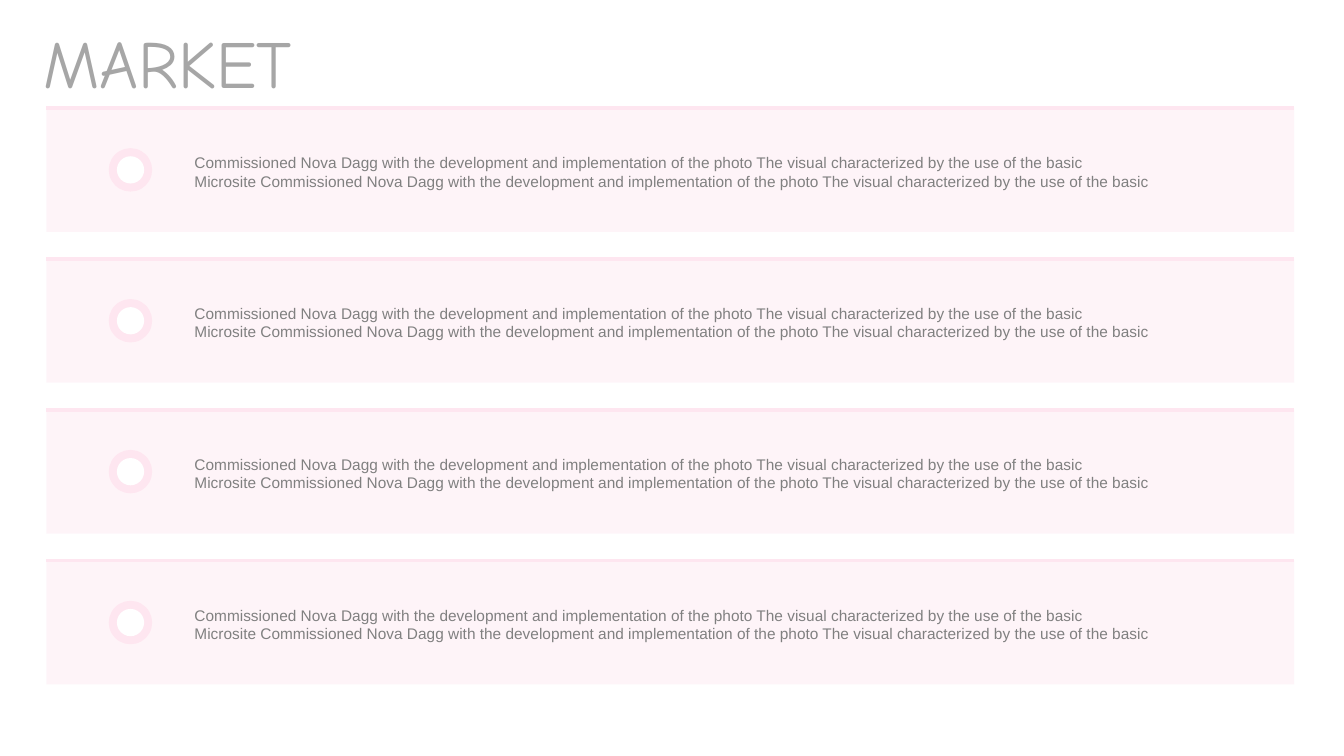
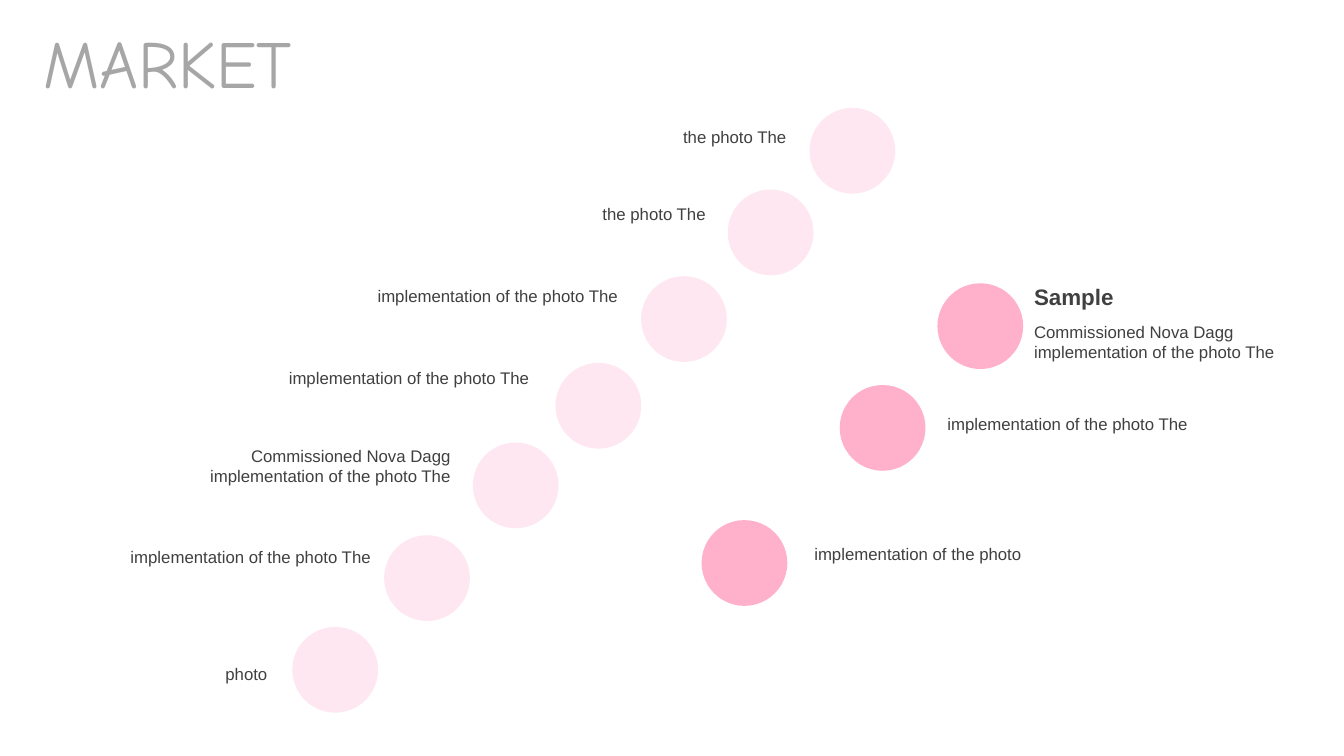
from lxml.etree import SubElement
from pptx import Presentation
from pptx.dml.color import RGBColor
from pptx.enum.shapes import MSO_CONNECTOR, MSO_SHAPE
from pptx.enum.text import MSO_AUTO_SIZE, PP_ALIGN
from pptx.oxml.ns import qn
from pptx.util import Inches, Pt

WIDTH, HEIGHT = Inches(13.333), Inches(7.5)
COLORS = {
    "title": "A6A6A6",
    "body": "808080",
    "label": "404040",
    "band": "FEE6F0",
    "pale": "FEE7F1",
    "strong": "FF6699",
    "white": "FFFFFF",
}
BODY_FONT, TITLE_FONT = "Arial", "Comic Neue"

# All positions and sizes below are percentages of the slide's width or height.
CARD_LEFT, CARD_TOP, CARD_WIDTH, CARD_HEIGHT = 3.45, 14.27, 92.85, 16.4
CARD_COUNT, CARD_PITCH = 4, 19.96
RING_CENTER, RING_SIZE, HOLE_SIZE = 9.71, 3.23, 2.03
CIRCLE_SIZE = 6.38
LABEL_WIDTH, LABEL_ROW = 22.58, 4.13

PHOTO = "implementation of the photo The"
STUDIO = "Commissioned Nova Dagg " + PHOTO
CARD_LINES = [
    f"{opening} Nova Dagg with the development and {PHOTO} "
    "visual characterized by the use of the basic"
    for opening in ("Commissioned", "Microsite Commissioned")
]

# Circle left and top, label right edge and top, label rows, label text
PALE_STEPS = [
    (60.23, 14.27, 59.25, 16.13, 1, "the photo The"),
    (54.15, 25.07, 53.25, 26.27, 1, "the photo The"),
    (47.7, 36.53, 46.73, 37.2, 1, PHOTO),
    (41.33, 48, 40.13, 48, 1, PHOTO),
    (35.18, 58.53, 34.28, 58.27, 2, STUDIO),
    (28.58, 70.8, 28.35, 71.6, 1, PHOTO),
    (21.75, 82.93, 20.63, 87.2, 1, "photo"),
]
# Circle left and top, label left edge and top, label text
STRONG_STEPS = [
    (62.48, 50.93, 69.75, 54.13, PHOTO),
    (52.2, 68.8, 59.85, 71.33, "implementation of the photo"),
]


def across(share):
    return int(WIDTH * share / 100)


def down(share):
    return int(HEIGHT * share / 100)


def add_text(page, text, left, top, width, height, size=12, color="label",
             font=BODY_FONT, align=PP_ALIGN.LEFT):
    """Place a text box, one paragraph for each line of text."""
    box = page.shapes.add_textbox(across(left), down(top), across(width), down(height))
    frame = box.text_frame
    frame.word_wrap = True
    frame.auto_size = MSO_AUTO_SIZE.SHAPE_TO_FIT_TEXT
    frame.text = text
    for para in frame.paragraphs:
        para.alignment = align
        para.font.size = Pt(size)
        para.font.name = font
        para.font.color.rgb = RGBColor.from_string(COLORS[color])
    return frame


def add_filled(page, kind, left, top, width, height, color, opacity=100):
    """Place a borderless shape, its box given in EMU."""
    shape = page.shapes.add_shape(kind, left, top, width, height)
    shape.shadow.inherit = False
    shape.line.fill.background()
    shape.fill.solid()
    shape.fill.fore_color.rgb = RGBColor.from_string(COLORS[color])
    if opacity < 100:
        fill_color = shape.fill._xPr.find(f"{qn('a:solidFill')}/{qn('a:srgbClr')}")
        SubElement(fill_color, qn("a:alpha")).set("val", str(opacity * 1000))


def add_circle(page, left, top, color, opacity=100):
    size = across(CIRCLE_SIZE)
    add_filled(page, MSO_SHAPE.OVAL, across(left), down(top), size, size, color, opacity)


def add_rule(page, left, top, width):
    rule = page.shapes.add_connector(
        MSO_CONNECTOR.STRAIGHT, across(left), down(top), across(left + width), down(top))
    rule.line.color.rgb = RGBColor.from_string(COLORS["band"])
    rule.line.width = Pt(2.75)
    SubElement(rule._element.spPr, qn("a:effectLst"))


def add_card(page, top):
    add_filled(page, MSO_SHAPE.RECTANGLE, across(CARD_LEFT), down(top),
               across(CARD_WIDTH), down(CARD_HEIGHT), "band", 41)
    add_rule(page, CARD_LEFT, top, CARD_WIDTH)
    middle = down(top + CARD_HEIGHT / 2)
    for share, color in ((RING_SIZE, "band"), (HOLE_SIZE, "white")):
        size = across(share)
        add_filled(page, MSO_SHAPE.OVAL, across(RING_CENTER) - size // 2,
                   middle - size // 2, size, size, color)
    add_text(page, "\n".join(CARD_LINES), 13.73, top + 5.33, 79.95, 6.05,
             size=11, color="body")


def add_page(deck, title):
    page = deck.slides.add_slide(deck.slide_layouts[6])
    add_text(page, title, 2.48, 2.13, 79.2, 12.13, size=48, color="title", font=TITLE_FONT)
    return page


def build_cards(deck):
    page = add_page(deck, "MARKET")
    for index in range(CARD_COUNT):
        add_card(page, CARD_TOP + index * CARD_PITCH)


def build_steps(deck):
    page = add_page(deck, "MARKET")
    for left, top, label_right, label_top, rows, text in PALE_STEPS:
        add_circle(page, left, top, "pale")
        width = min(LABEL_WIDTH, label_right)
        add_text(page, text, label_right - width, label_top, width,
                 rows * LABEL_ROW, align=PP_ALIGN.RIGHT)
    for left, top, label_left, label_top, text in STRONG_STEPS:
        add_circle(page, left, top, "strong", 51)
        add_text(page, text, label_left, label_top, LABEL_WIDTH, LABEL_ROW)

    add_circle(page, 69.75, 37.47, "strong", 51)
    frame = add_text(page, f"Sample\n{STUDIO}", 76.2, 35.07, LABEL_WIDTH, 13.73)
    heading, detail = frame.paragraphs
    heading.font.size = Pt(16)
    heading.font.bold = True
    heading.line_spacing = 1.5
    detail.space_before = Pt(8)


def main():
    deck = Presentation()
    deck.slide_width, deck.slide_height = WIDTH, HEIGHT
    build_cards(deck)
    build_steps(deck)
    deck.save("out.pptx")


if __name__ == "__main__":
    main()
